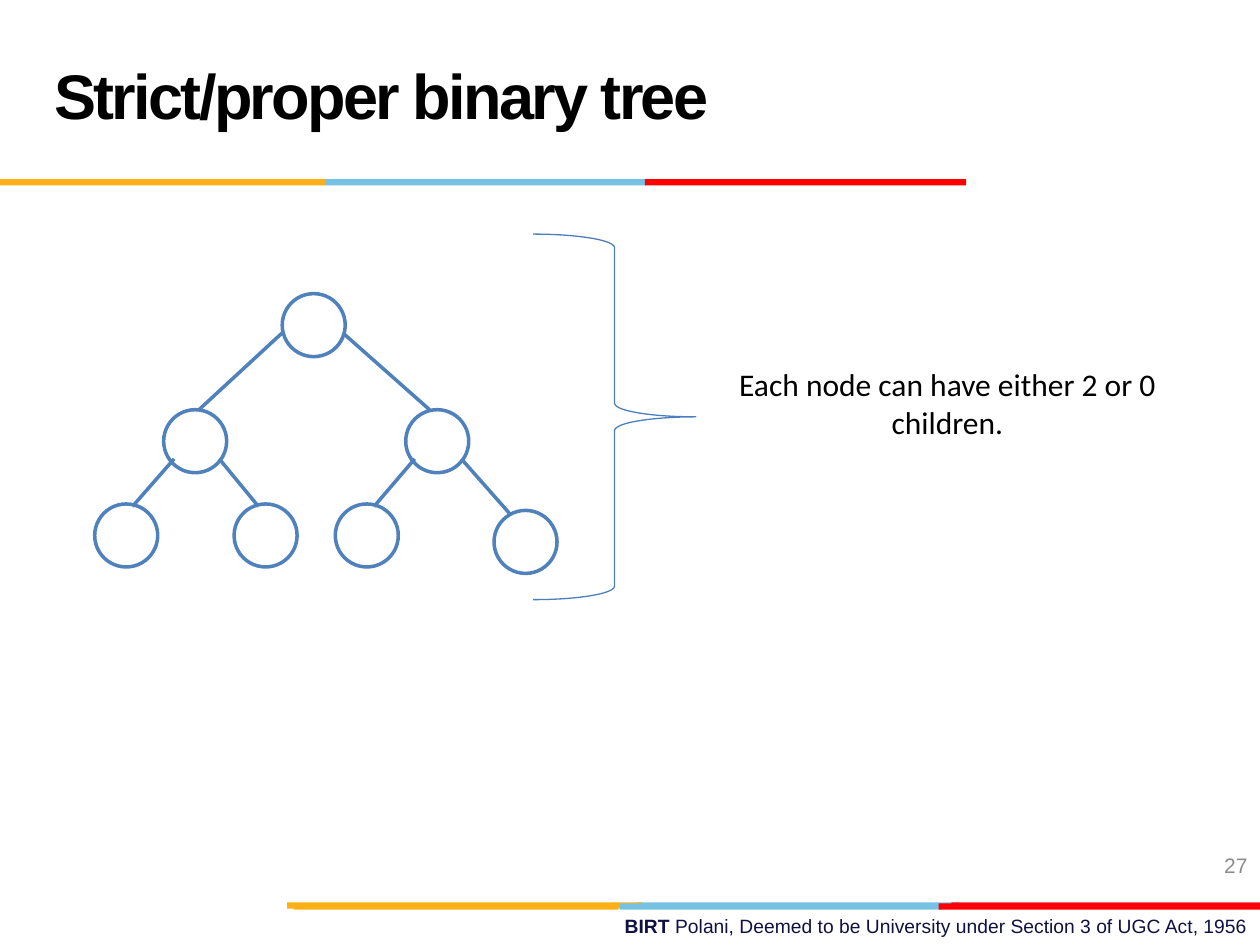
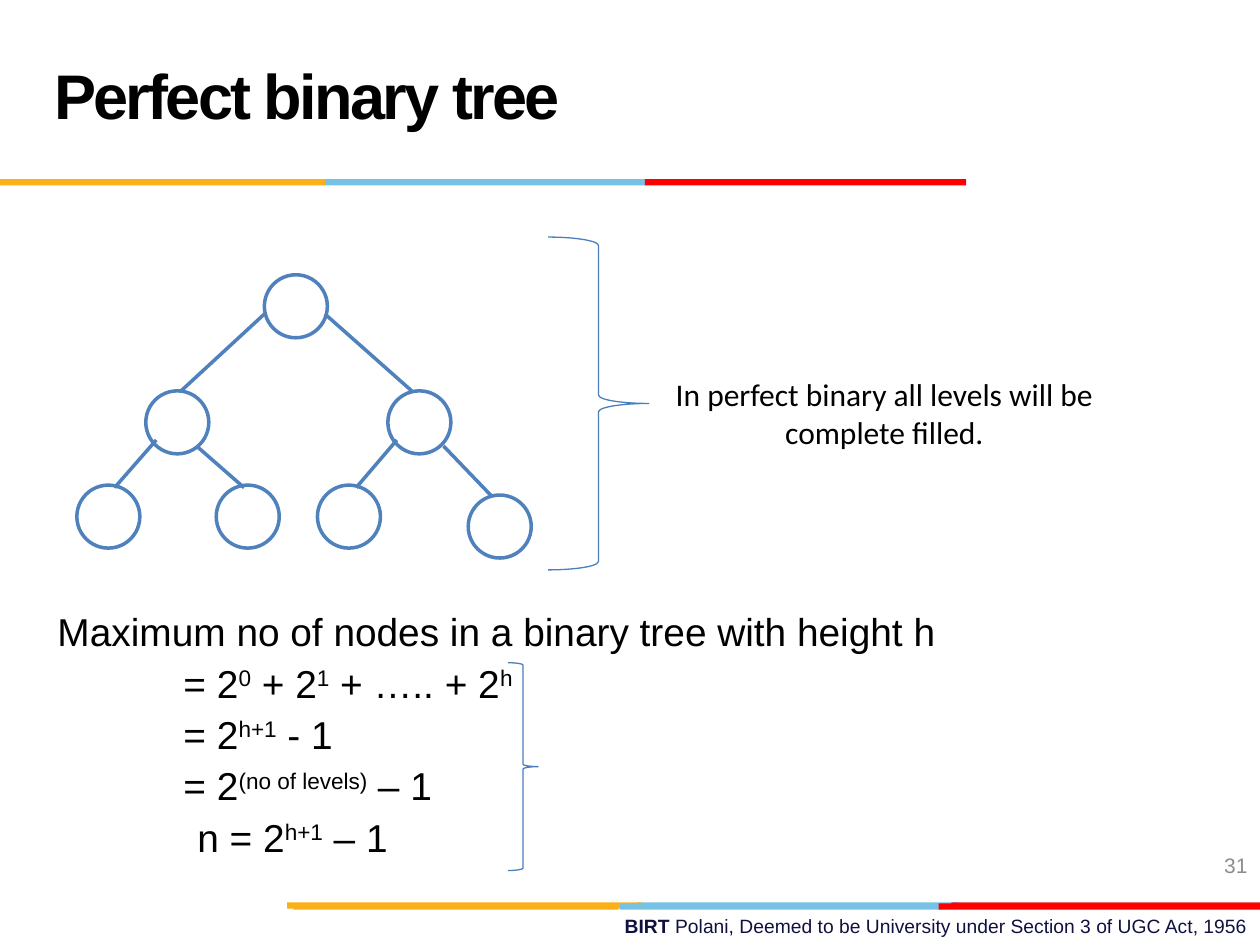
from lxml.etree import SubElement
from pptx import Presentation
from pptx.dml.color import RGBColor
from pptx.enum.shapes import MSO_CONNECTOR as Link, MSO_SHAPE as Geo
from pptx.enum.text import MSO_ANCHOR as Anchor, PP_ALIGN as Align
from pptx.oxml.ns import qn
from pptx.util import Cm, Pt

BLACK, WHITE, NAVY, GRAY = "000000", "FFFFFF", "101141", "8C8C8C"
NODE_BLUE, BRACE_BLUE = "4F81BD", "4B7EBC"
YELLOW, SKY, CRIMSON, RED = "FCB017", "76C2E5", "E31C24", "FF0000"

STRIPS = [
    (18.19, [(12.85, 6.48, SKY), (19.18, 6.22, CRIMSON), (5.79, 7.16, YELLOW)]),
    (18.21, [(12.5, 6.48, SKY), (5.92, 6.55, YELLOW), (18.92, 6.48, RED)]),
    (3.61, [(6.55, 6.48, SKY), (0, 6.55, YELLOW), (13, 6.48, RED)]),
]
FOOTER = "^BIRT^ Polani, Deemed to be University under Section 3 of UGC Act, 1956"
NODE = 1.27
NODES = [(0, 0), (-2.39, 2.34), (2.49, 2.34), (-3.78, 4.24), (-0.97, 4.24), (1.07, 4.24)]
EDGES = [
    (-1.68, 2.34, 0, 0.79),
    (2.97, 2.34, 1.22, 0.79),
    (-3.02, 4.29, -2.18, 3.33),
    (1.85, 4.29, 2.67, 3.33),
]


def color(value):
    return RGBColor.from_string(value)


def apply(target, values):
    for name, value in values.items():
        setattr(target, name, value)


class Deck:
    font = "Arial"

    def __init__(self):
        self.prs = Presentation()
        apply(self.prs, {"slide_width": Cm(25.4), "slide_height": Cm(19.05)})
        self.s = None

    def slide(self, title, number):
        self.s = self.prs.slides.add_slide(self.prs.slide_layouts[6])
        self.text((9.09, 18.31, 16.31, 0.74), [FOOTER], 11, NAVY,
                  fmt={"alignment": Align.RIGHT}, marked={"b": "1"})
        for top, parts in STRIPS:
            for left, width, fill in parts:
                self.shape(Geo.RECTANGLE, (left, top, width, 0.13), fill)
        self.text((0.84, 0.43, 17.58, 3.18), [title], 36, BLACK, Anchor.MIDDLE,
                  {"line_spacing": Pt(36)}, {"b": "1", "spc": "-150"})
        self.text((19.48, 16.94, 5.92, 1.02), [number], 12, GRAY, Anchor.MIDDLE,
                  {"alignment": Align.RIGHT})

    def shape(self, kind, box, fill=None, line=None, weight=0.75):
        sp = self.s.shapes.add_shape(kind, *map(Cm, box))
        sp.shadow.inherit = False
        if fill:
            sp.fill.solid()
            sp.fill.fore_color.rgb = color(fill)
        else:
            sp.fill.background()
        if line:
            sp.line.color.rgb = color(line)
            sp.line.width = Pt(weight)
        else:
            sp.line.fill.background()
        return sp

    def edge(self, *ends):
        c = self.s.shapes.add_connector(Link.STRAIGHT, *map(Cm, ends))
        c.line.color.rgb = color(NODE_BLUE)
        c.line.width = Pt(2)
        SubElement(c._element.spPr, qn("a:effectLst"))

    def text(self, box, lines, size, ink, anchor=Anchor.TOP, fmt=None, base=None,
             marked=None, font=None):
        tf = self.s.shapes.add_textbox(*map(Cm, box)).text_frame
        apply(tf, {"word_wrap": True, "vertical_anchor": anchor})
        for i, line in enumerate(lines):
            p = tf.add_paragraph() if i else tf.paragraphs[0]
            apply(p, fmt or {})
            for j, part in enumerate(line.split("^")):
                if not part:
                    continue
                r = p.add_run()
                r.text = part
                apply(r.font, {"size": Pt(size), "name": font or self.font})
                r.font.color.rgb = color(ink)
                attrs = (marked if j % 2 else base) or {}
                for name, value in attrs.items():
                    r._r.get_or_add_rPr().set(name, value)
        return tf

    def tree(self, left, top, last_leaf, inner_edges):
        for x, y in NODES + [last_leaf]:
            self.shape(Geo.OVAL, (left + x, top + y, NODE, NODE), WHITE, NODE_BLUE, 2)
        for x1, y1, x2, y2 in EDGES + inner_edges:
            self.edge(left + x1, top + y1, left + x2, top + y2)

    def brace(self, *box):
        self.shape(Geo.RIGHT_BRACE, box, line=BRACE_BLUE)

    def remark(self, left, top, line):
        self.text((left, top, 9.2, 4.8), [line], 18, BLACK, Anchor.MIDDLE,
                  {"alignment": Align.CENTER}, font="Calibri")

    def formula(self, box, lines, indents):
        tf = self.text(box, lines, 22.2, BLACK, fmt={"line_spacing": 0.9},
                       marked={"baseline": "30000"})
        apply(tf, {"margin_top": 0, "margin_bottom": 0})
        for p, indent in zip(tf.paragraphs, indents):
            p._p.get_or_add_pPr().set("marL", str(Cm(indent)))
        for p in tf.paragraphs[1:]:
            p.space_before = Pt(5.4)


def main():
    deck = Deck()

    deck.slide("Strict/proper binary tree", "27")
    deck.tree(5.69, 5.92, (4.27, 4.37),
              [(-0.48, 4.29, -1.27, 3.33), (4.6, 4.45, 3.61, 3.33)])
    deck.brace(10.75, 4.72, 3.28, 7.37)
    deck.remark(14.5, 5.72, "Each node can have either 2 or 0 children.")

    deck.slide("Perfect binary tree", "31")
    deck.formula((0.91, 12.36, 22.86, 5.2), [
        "Maximum no of nodes in a binary tree with height h",
        "= 2^0^ + 2^1^ + ….. + 2^h^",
        "= 2^h+1^ - 1",
        "= 2^(no of levels)^ – 1",
        "n = 2^h+1^ – 1",
    ], [0, 2.54, 2.54, 2.54, 2.82])
    deck.tree(5.33, 5.54, (4.11, 4.44),
              [(-0.41, 4.29, -1.37, 3.45), (4.57, 4.45, 3.61, 3.45)])
    deck.brace(11.05, 4.78, 2.03, 6.71)
    deck.remark(13.23, 5.92, "In perfect binary all levels will be complete filled.")
    deck.brace(10.24, 13.36, 0.61, 4.19)

    deck.prs.save("out.pptx")


if __name__ == "__main__":
    main()
